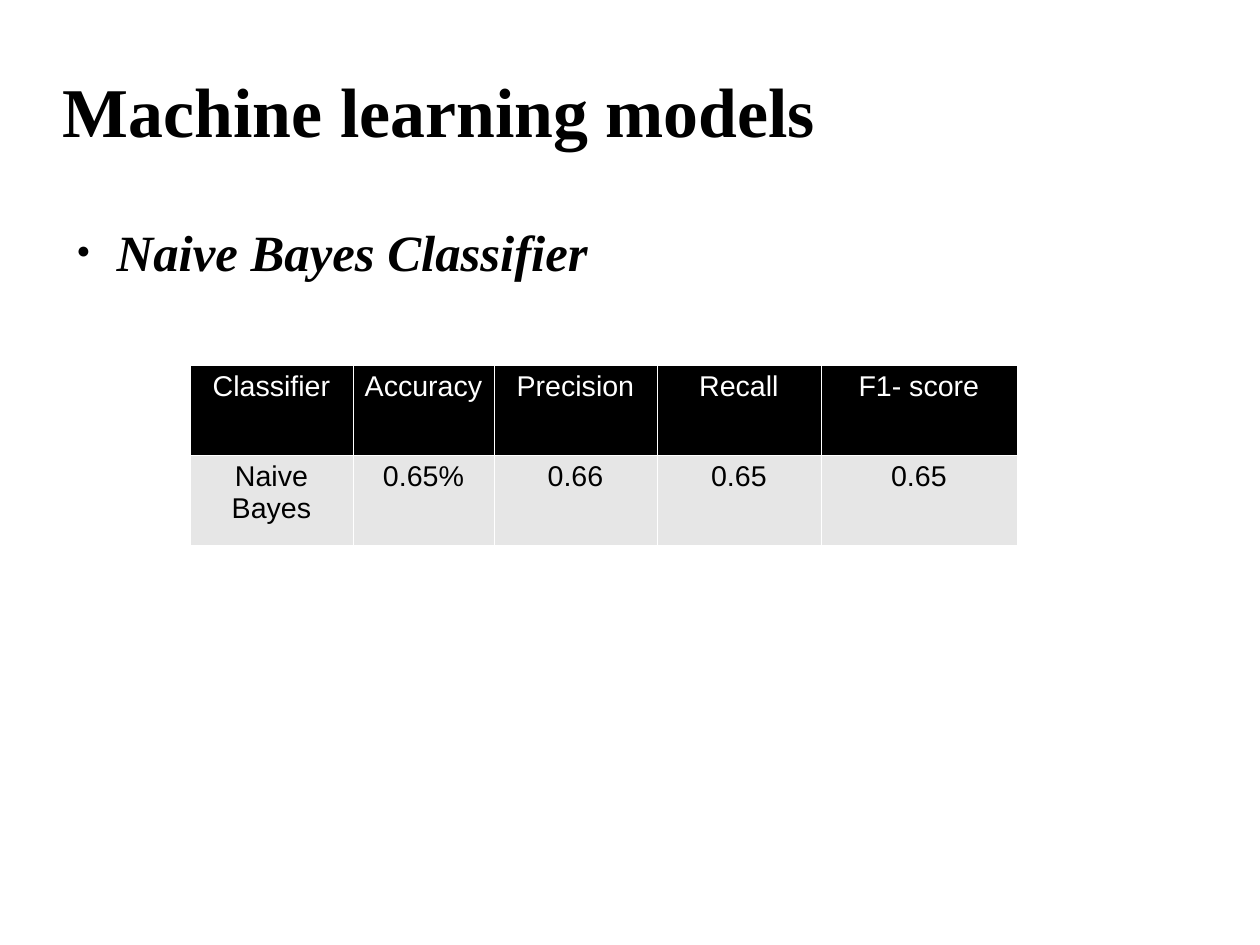
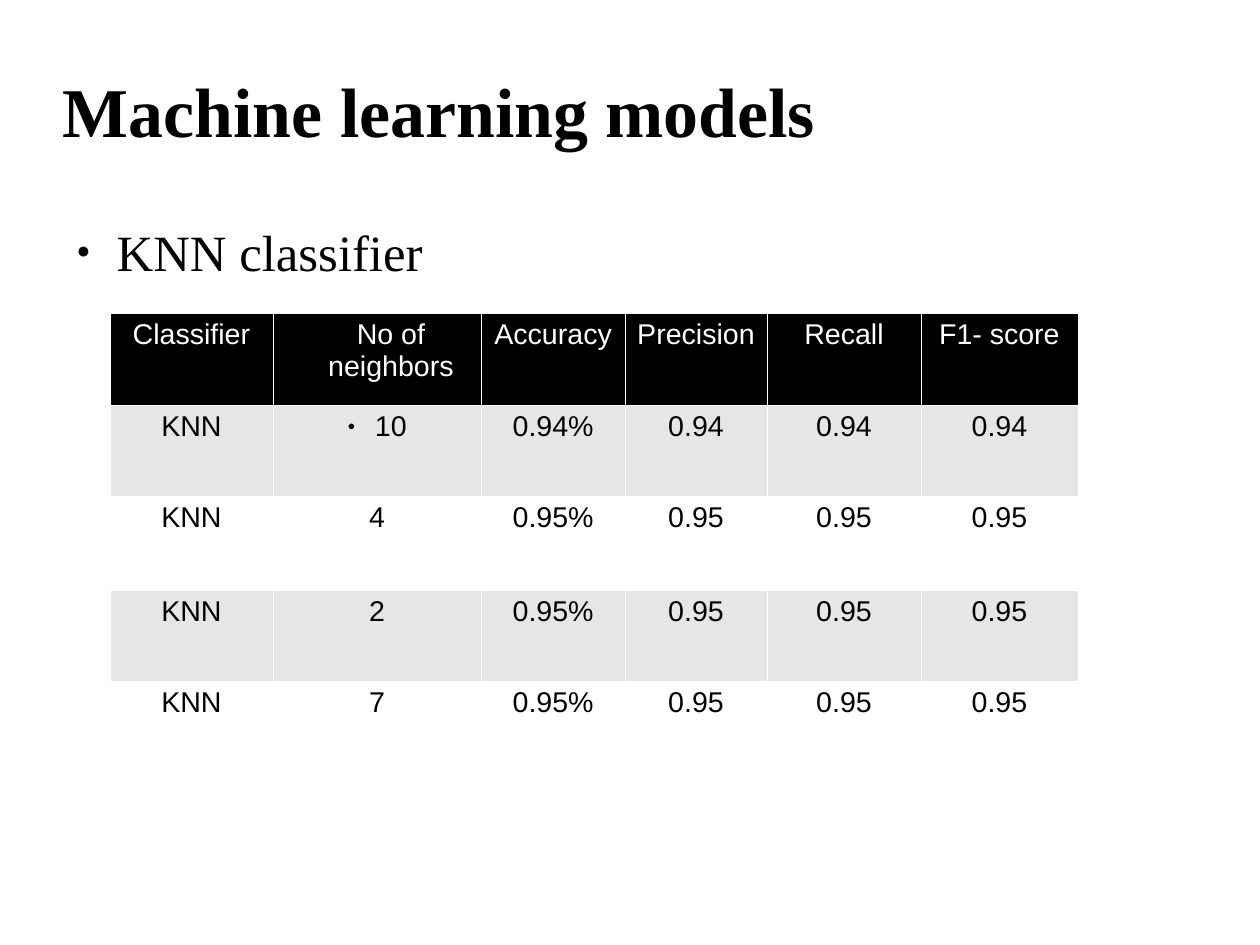
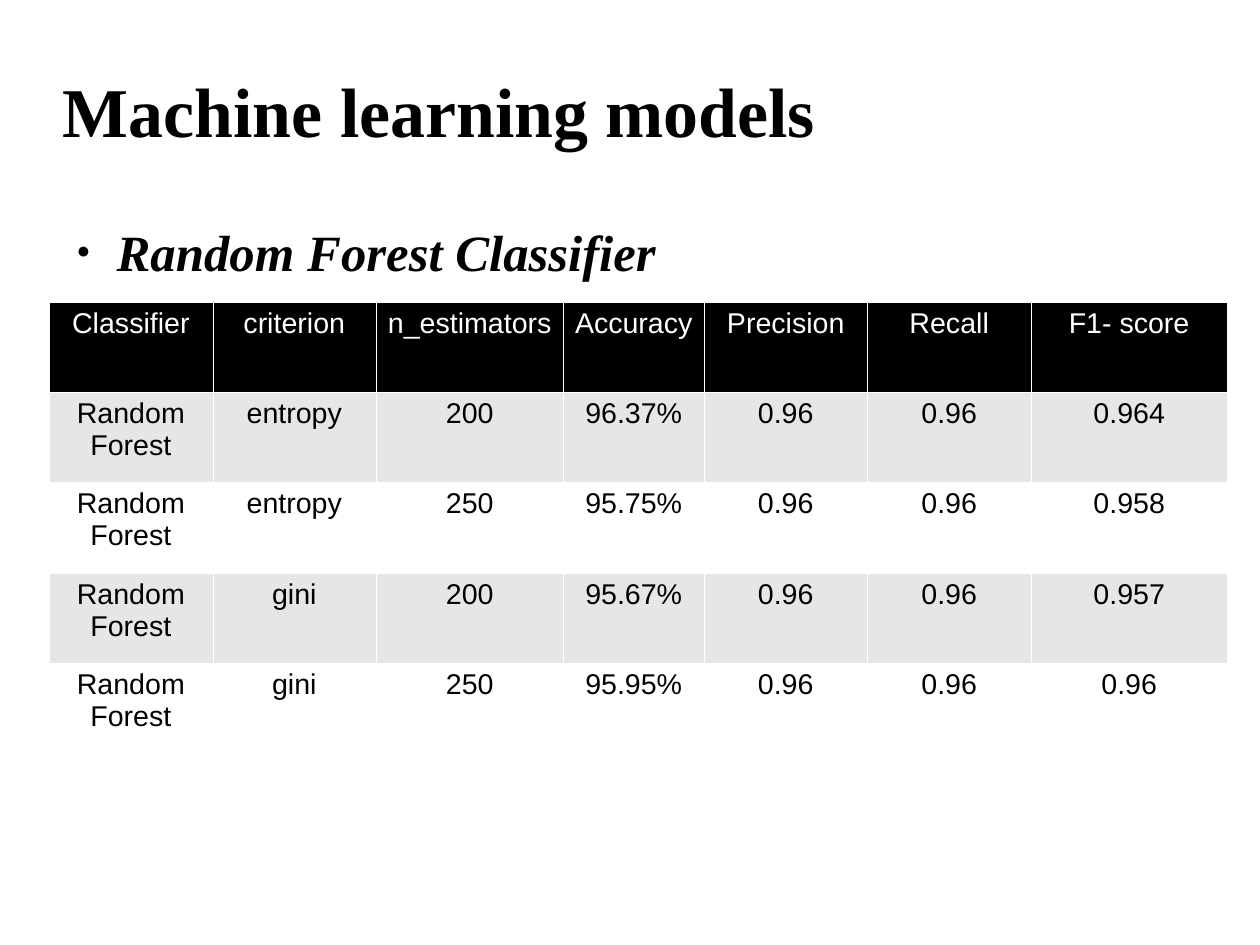
"""Build three slides that report the scores of machine learning models."""
from dataclasses import dataclass

from lxml import etree
from pptx import Presentation
from pptx.dml.color import RGBColor
from pptx.enum.text import MSO_ANCHOR, MSO_AUTO_SIZE, PP_ALIGN
from pptx.oxml import parse_xml
from pptx.oxml.ns import nsdecls, qn
from pptx.util import Inches, Pt

LEFT, CENTER = PP_ALIGN.LEFT, PP_ALIGN.CENTER
TOP, MIDDLE = MSO_ANCHOR.TOP, MSO_ANCHOR.MIDDLE
NO_AUTOFIT = MSO_AUTO_SIZE.NONE
CENTIMETERS_PER_INCH = 2.54


@dataclass(frozen=True)
class Theme:
    black: RGBColor = RGBColor(0x00, 0x00, 0x00)
    white: RGBColor = RGBColor(0xFF, 0xFF, 0xFF)
    band: RGBColor = RGBColor(0xE6, 0xE6, 0xE6)
    heading_font: str = "Times New Roman"
    table_font: str = "Arial"
    title_size: int = 44
    body_size: int = 32
    table_size: int = 18
    bullet_percent: int = 45
    border_points: float = 0.06


THEME = Theme()


def write_text(text_frame, text, *, font, size, color=THEME.black, bold=False,
               italic=False, align=LEFT, space_after=0, bullet_indent=None,
               hanging=0):
    """Write one formatted paragraph, bulleted when an indent is given."""
    text_frame.word_wrap = True
    paragraph = text_frame.paragraphs[0]
    paragraph.alignment = align
    paragraph.space_before = Pt(0)
    paragraph.space_after = Pt(space_after)
    run = paragraph.add_run()
    run.text = text
    run.font.name = font
    run.font.size = Pt(size)
    run.font.bold = bold
    run.font.italic = italic
    run.font.color.rgb = color
    if bullet_indent is not None:
        properties = paragraph._p.get_or_add_pPr()
        properties.set("marL", str(Inches(bullet_indent)))
        properties.set("indent", str(-Inches(hanging)))
        bullet_color = etree.SubElement(properties, qn("a:buClr"))
        etree.SubElement(bullet_color, qn("a:srgbClr"), val=str(THEME.black))
        etree.SubElement(properties, qn("a:buSzPct"),
                         val=str(THEME.bullet_percent * 1000))
        etree.SubElement(properties, qn("a:buFont"), typeface=THEME.table_font)
        etree.SubElement(properties, qn("a:buChar"), char="●")


def style_cell(cell, fill_color):
    """Give a cell its thin white borders and its fill."""
    properties = cell._tc.get_or_add_tcPr()
    for side in ("lnL", "lnR", "lnT", "lnB"):
        properties.append(parse_xml(
            f'<a:{side} {nsdecls("a")} w="{Pt(THEME.border_points)}">'
            f'<a:solidFill><a:srgbClr val="{THEME.white}"/></a:solidFill>'
            f'</a:{side}>'))
    cell.fill.solid()
    cell.fill.fore_color.rgb = fill_color


MODELS = [
    {
        "name": "Naive Bayes Classifier",
        "emphasis": True,
        "position": (1.66, 3.19),
        "columns": [1.43, 1.23, 1.43, 1.43, 1.72],
        "heights": [0.79, 0.79],
        "bulleted": [],
        "rows": [
            ["Classifier", "Accuracy", "Precision", "Recall", "F1- score"],
            ["Naive Bayes", "0.65%", "0.66", "0.65", "0.65"],
        ],
    },
    {
        "name": "KNN classifier",
        "emphasis": False,
        "position": (0.96, 2.74),
        "columns": [1.43, 1.82, 1.26, 1.24, 1.35, 1.37],
        "heights": [0.8, 0.8, 0.82, 0.8, 0.8],
        "bulleted": [(0, 1), (1, 1)],
        "rows": [
            ["Classifier", "No of neighbors", "Accuracy", "Precision", "Recall", "F1- score"],
            ["KNN", "10", "0.94%", "0.94", "0.94", "0.94"],
            ["KNN", "4", "0.95%", "0.95", "0.95", "0.95"],
            ["KNN", "2", "0.95%", "0.95", "0.95", "0.95"],
            ["KNN", "7", "0.95%", "0.95", "0.95", "0.95"],
        ],
    },
    {
        "name": "Random Forest Classifier",
        "emphasis": True,
        "position": (0.43, 2.64),
        "columns": [1.43, 1.43, 1.64, 1.23, 1.43, 1.43, 1.72],
        "heights": [0.79, 0.79, 0.79, 0.79, 0.88],
        "bulleted": [],
        "rows": [
            ["Classifier", "criterion", "n_estimators", "Accuracy", "Precision", "Recall", "F1- score"],
            ["Random Forest", "entropy", "200", "96.37%", "0.96", "0.96", "0.964"],
            ["Random Forest", "entropy", "250", "95.75%", "0.96", "0.96", "0.958"],
            ["Random Forest", "gini", "200", "95.67%", "0.96", "0.96", "0.957"],
            ["Random Forest", "gini", "250", "95.95%", "0.96", "0.96", "0.96"],
        ],
    },
]

presentation = Presentation()
presentation.slide_width = Inches(28 / CENTIMETERS_PER_INCH)
presentation.slide_height = Inches(21 / CENTIMETERS_PER_INCH)
presentation.element.sldSz.attrib.pop("type", None)
layout = presentation.slide_layouts[1]

for model in MODELS:
    slide = presentation.slides.add_slide(layout)
    title, body = slide.placeholders
    for shape, top, width, height, anchor in (
            (title, 0.33, 8.43, 1.25, MIDDLE),
            (body, 1.93, 9.7, 0.67, TOP)):
        shape.left, shape.top = Inches(0.55), Inches(top)
        shape.width, shape.height = Inches(width), Inches(height)
        frame = shape.text_frame
        frame.margin_left = frame.margin_right = 0
        frame.margin_top = frame.margin_bottom = 0
        frame.vertical_anchor = anchor
        frame.auto_size = NO_AUTOFIT
    write_text(title.text_frame, "Machine learning models", bold=True,
               font=THEME.heading_font, size=THEME.title_size)
    write_text(body.text_frame, model["name"], font=THEME.heading_font,
               size=THEME.body_size, bold=model["emphasis"],
               italic=model["emphasis"], space_after=14.2,
               bullet_indent=0.47, hanging=0.35)

    rows, columns, heights = model["rows"], model["columns"], model["heights"]
    left, top = model["position"]
    table = slide.shapes.add_table(
        len(rows), len(columns), Inches(left), Inches(top),
        Inches(sum(columns)), Inches(sum(heights))).table
    table.horz_banding = False
    for column, width in zip(table.columns, columns):
        column.width = Inches(width)
    for row, height in zip(table.rows, heights):
        row.height = Inches(height)
    for row_index, values in enumerate(rows):
        is_header = row_index == 0
        band_color = THEME.band if row_index % 2 else THEME.white
        for column_index, value in enumerate(values):
            cell = table.cell(row_index, column_index)
            style_cell(cell, THEME.black if is_header else band_color)
            is_bulleted = (row_index, column_index) in model["bulleted"]
            write_text(cell.text_frame, value, font=THEME.table_font,
                       size=THEME.table_size, align=CENTER,
                       color=THEME.white if is_header else THEME.black,
                       bullet_indent=0.24 if is_bulleted else None, hanging=0.24)

presentation.save("out.pptx")
